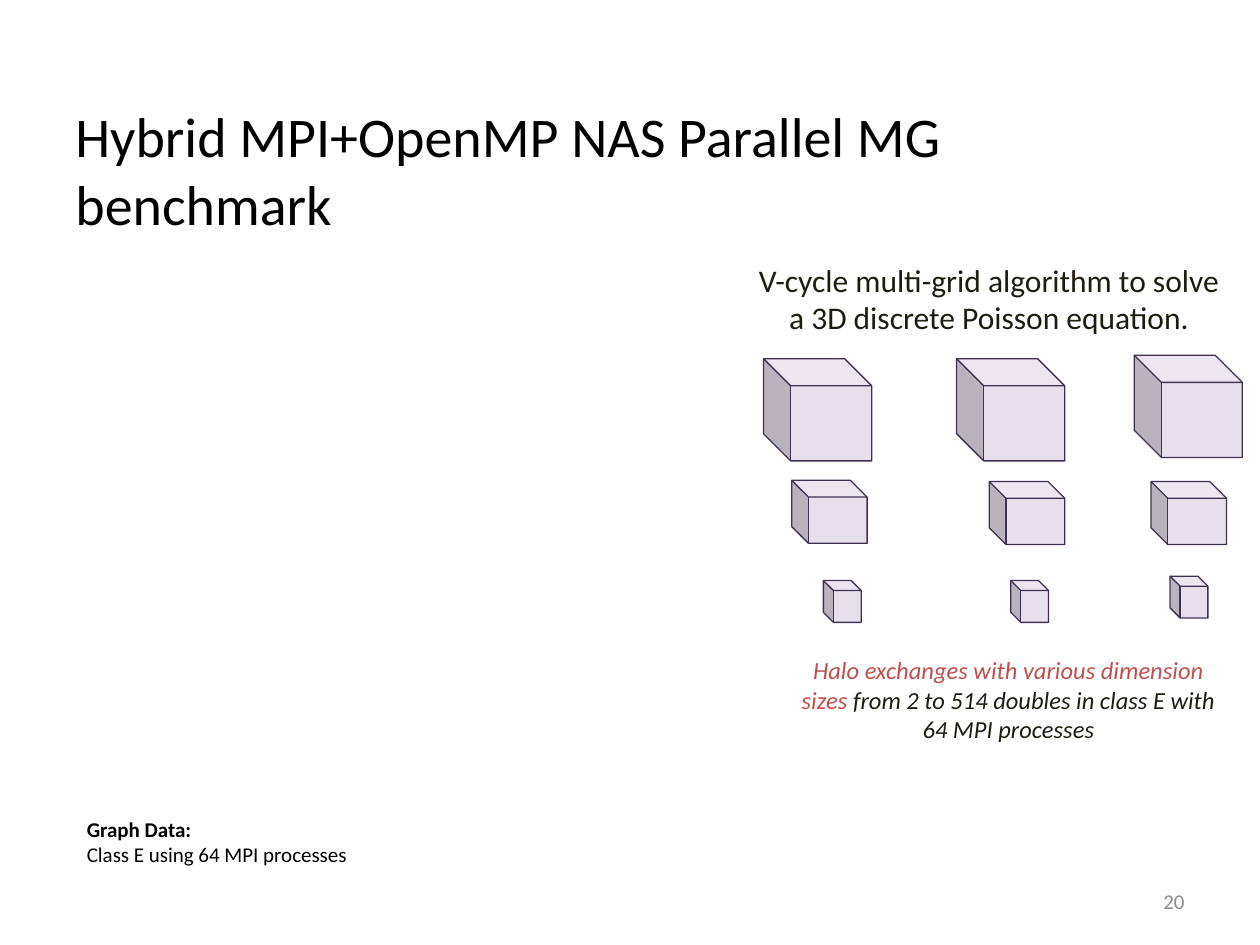
from dataclasses import dataclass

from pptx import Presentation
from pptx.dml.color import RGBColor
from pptx.enum.shapes import MSO_SHAPE
from pptx.enum.text import MSO_ANCHOR, PP_ALIGN
from pptx.oxml.ns import qn
from pptx.util import Pt

CUBE = MSO_SHAPE.CUBE
TOP, MIDDLE = MSO_ANCHOR.TOP, MSO_ANCHOR.MIDDLE
LEFT, CENTER, RIGHT = PP_ALIGN.LEFT, PP_ALIGN.CENTER, PP_ALIGN.RIGHT


@dataclass(frozen=True)
class Theme:
    font: str = "Calibri"
    black: RGBColor = RGBColor(0x00, 0x00, 0x00)
    body: RGBColor = RGBColor(0x1E, 0x1C, 0x11)
    accent: RGBColor = RGBColor(0xC0, 0x50, 0x4D)
    muted: RGBColor = RGBColor(0x8C, 0x8C, 0x8C)
    cube_fill: RGBColor = RGBColor(0xE6, 0xE0, 0xEC)
    cube_line: RGBColor = RGBColor(0x40, 0x31, 0x52)
    title_size: int = 32
    lead_size: int = 18
    note_size: int = 14
    small_size: int = 12


THEME = Theme()

GRID_LEVELS = [
    (61.8, 58.4, [(0, 2), (110.3, 2), (211.8, 0)]),
    (43.1, 36, [(16.1, 71.5), (129, 72.2), (221.4, 72.2)]),
    (21.6, 23.9, [(34.2, 128.7), (141.3, 128.7), (232.3, 126.2)]),
]


def add_text(slide, box, lines, size, color, align=LEFT, anchor=TOP):
    s = slide.shapes.add_textbox(*map(Pt, box))
    tf = s.text_frame
    tf.word_wrap = True
    tf.vertical_anchor = anchor
    for i, line in enumerate(lines):
        p = tf.paragraphs[0] if i == 0 else tf.add_paragraph()
        p.alignment = align
        p.font.name = THEME.font
        p.font.size = Pt(size)
        p.font.color.rgb = color
        p.add_run().text = line
    return tf.paragraphs


def add_cube(slide, left, top, width, height):
    s = slide.shapes.add_shape(CUBE, *map(Pt, (left, top, width, height)))
    s.adjustments[0] = 0.266
    s.rotation = 180
    s._element.spPr.find(qn("a:xfrm")).set("flipV", "1")
    s.shadow.inherit = False
    s.fill.solid()
    s.fill.fore_color.rgb = THEME.cube_fill
    s.line.color.rgb = THEME.cube_line
    s.line.width = Pt(0.75)


def add_multigrid(slide, left, top):
    for width, height, offsets in GRID_LEVELS:
        for dx, dy in offsets:
            add_cube(slide, left + dx, top + dy, width, height)


def add_halo_note(slide, box):
    p = add_text(slide, box, ["Halo exchanges with various dimension sizes"],
                 THEME.note_size, THEME.body, CENTER)[0]
    p.font.italic = True
    p.runs[0].font.color.rgb = THEME.accent
    p.add_run().text = " from 2 to 514 doubles in class E with 64 MPI processes"


def add_graph_data(slide, box):
    lines = ["Graph Data:", "Class E using 64 MPI processes"]
    heading = add_text(slide, box, lines, THEME.small_size, THEME.black)[0]
    heading.font.bold = True


def main():
    prs = Presentation()
    prs.slide_width, prs.slide_height = Pt(720), Pt(540)
    slide = prs.slides.add_slide(prs.slide_layouts[6])
    add_text(slide, (36, 54.7, 648, 427.7),
             ["Hybrid MPI+OpenMP NAS Parallel MG benchmark"],
             THEME.title_size, THEME.black)
    add_text(slide, (421.2, 145.4, 288, 225.4),
             ["V-cycle multi-grid algorithm to solve a 3D discrete Poisson equation."],
             THEME.lead_size, THEME.body, CENTER)
    add_multigrid(slide, 436.3, 203)
    add_halo_note(slide, (444.2, 370.8, 264.2, 58.3))
    add_graph_data(slide, (42.5, 463, 226.8, 51.1))
    add_text(slide, (516.2, 500.4, 167.8, 28.8), ["20"],
             THEME.small_size, THEME.muted, RIGHT, MIDDLE)
    prs.save("out.pptx")


if __name__ == "__main__":
    main()
